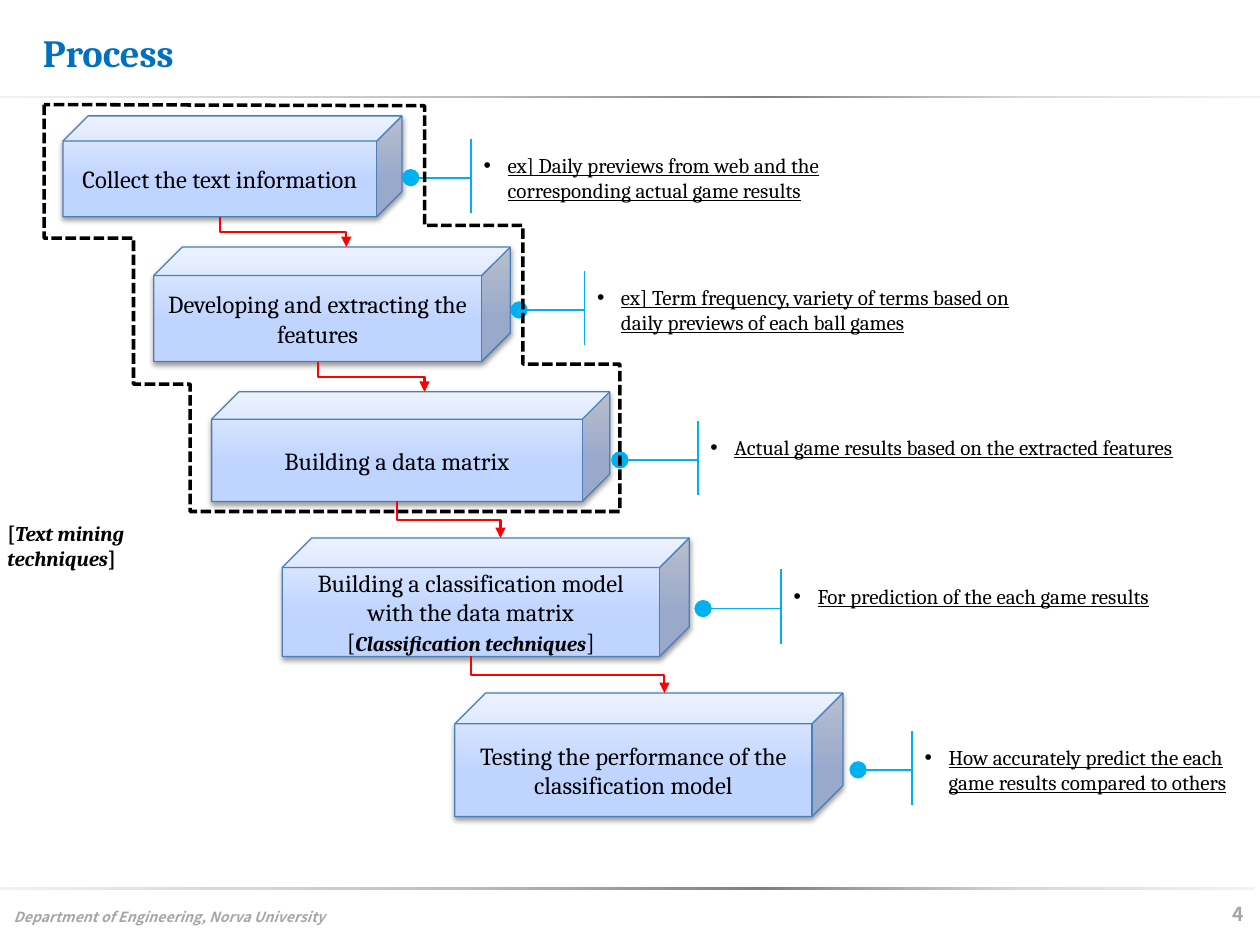
from lxml import etree
from pptx import Presentation, util as u
from pptx.dml.color import RGBColor
from pptx.enum import dml, shapes, text
from pptx.oxml.ns import qn

BLUE = RGBColor(0x00, 0x70, 0xC0)
SKY = RGBColor(0x00, 0xB0, 0xF0)
RED = RGBColor(0xFF, 0x00, 0x00)
BLACK = RGBColor(0, 0, 0)
GRAY = RGBColor(0xA6, 0xA6, 0xA6)
EDGE = RGBColor(0x4B, 0x7E, 0xBC)
BAR = [(0, "F2F2F2"), (18, "D9D9D9"), (36, "BFBFBF"),
       (61, "808080"), (82, "D9D9D9"), (100, "F2F2F2")]
ICE = [(35, "BFD4FF"), (100, "E6EEFF")]
SERIF, SANS = "Cambria", "Noto Sans CJK JP"
LEFT, MID, RIGHT = (text.PP_ALIGN.LEFT, text.PP_ALIGN.CENTER,
                    text.PP_ALIGN.RIGHT)

# Each step: cube box, paragraphs (a run is text, or text with its format)
EMPH = dict(size=12, bold=True, italic=True)
STEPS = [
    ((0.5, 0.92, 2.69, 0.8), ["Collect the text information"]),
    ((1.22, 1.96, 2.83, 0.91), ["Developing and extracting the features"]),
    ((1.68, 3.11, 3.16, 0.87), ["Building a data matrix"]),
    ((2.24, 4.27, 3.23, 0.94),
     ["Building a classification model with the data matrix",
      ["[", ("Classification techniques", EMPH), "]"]]),
    ((3.61, 5.5, 3.08, 0.98),
     ["Testing the performance of the classification model"]),
]
# Each note: dot x, bar x, middle y, text width, text height, words
NOTES = [
    (3.26, 3.74, 1.41, 3.28, 0.51, "ex] Daily previews from web and the "
     "corresponding actual game results"),
    (4.12, 4.64, 2.46, 3.57, 0.71, "ex] Term frequency, variety of terms "
     "based on daily previews of each ball games"),
    (4.92, 5.54, 3.65, 4.21, 0.51,
     "Actual game results based on the extracted features"),
    (5.58, 6.2, 4.83, 4.21, 0.31, "For prediction of the each game results"),
    (6.81, 7.24, 6.11, 2.88, 0.51, "How accurately predict the each game "
     "results compared to others"),
]
# Corners of the dashed outline around the first three steps
STAIR = [(0.35, 0.83), (0.35, 1.89), (1.06, 1.89), (1.06, 3.05),
         (1.51, 3.05), (1.51, 4.06), (4.92, 4.06), (4.92, 2.89),
         (4.15, 2.89), (4.15, 1.79), (3.37, 1.79), (3.37, 0.84)]


def inch(*nums):
    return [u.Inches(n) for n in nums]


def sub(node, tag, **attrs):
    return etree.SubElement(node, qn(tag), attrs)


def write(shape, paras, size=12, font=SERIF, color=BLACK, align=LEFT,
          anchor=text.MSO_ANCHOR.TOP, wrap=True, **style):
    """Fill a shape with paragraphs; extra keywords format the runs."""
    frame = shape.text_frame
    frame.auto_size = text.MSO_AUTO_SIZE.NONE
    frame.word_wrap = wrap
    frame.vertical_anchor = anchor
    for i, runs in enumerate(paras):
        para = frame.add_paragraph() if i else frame.paragraphs[0]
        para.alignment = align
        for item in [runs] if isinstance(runs, str) else runs:
            words, extra = (item, {}) if isinstance(item, str) else item
            run = para.add_run()
            run.text = words
            run.font.name = font
            run.font.color.rgb = color
            for key, val in {"size": size, **style, **extra}.items():
                setattr(run.font, key, u.Pt(val) if key == "size" else val)


def label(slide, box, paras, **style):
    shape = slide.shapes.add_textbox(*inch(*box))
    write(shape, paras, **style)
    return shape


def shade(shape, stops, angle):
    """Give a shape a linear gradient with any number of stops."""
    shape.fill.gradient()
    shape.fill.gradient_angle = angle
    group = shape.element.spPr.find(".//" + qn("a:gsLst"))
    for stop in list(group):
        group.remove(stop)
    for pos, color in stops:
        stop = sub(group, "a:gs", pos=str(pos * 1000))
        sub(stop, "a:srgbClr", val=color)


def rule(slide, left, top):
    shape = slide.shapes.add_shape(shapes.MSO_SHAPE.RECTANGLE,
                                   *inch(left, top, 10, 0.02))
    shape.shadow.inherit = False
    shade(shape, BAR, 0)
    shape.line.fill.background()


def cube(slide, box, paras):
    shape = slide.shapes.add_shape(shapes.MSO_SHAPE.CUBE, *inch(*box))
    shade(shape, ICE, 90)
    shape.line.color.rgb = EDGE
    shape.line.width = u.Pt(0.75)
    shape.shadow.inherit = False
    glow = sub(shape.element.spPr.find(qn("a:effectLst")), "a:outerShdw",
               blurRad=str(u.Pt(3.1)), dist=str(u.Pt(1.6)),
               dir="5400000", rotWithShape="0")
    sub(sub(glow, "a:srgbClr", val="000000"), "a:alpha", val="38000")
    write(shape, paras, size=14, align=MID, anchor=text.MSO_ANCHOR.MIDDLE)


def link(slide, kind, ends, color, width, tip=None):
    """Draw a connector; tip is (tag, type, size) of its one marker."""
    line = slide.shapes.add_connector(kind, *inch(*ends))
    line.line.color.rgb = color
    line.line.width = u.Pt(width)
    if tip:
        tag, form, size = tip
        sub(line.line._get_or_add_ln(), tag, type=form, w=size, len=size)
    sub(line.element.spPr, "a:effectLst")
    return line


def step_down(slide, one, two):
    """Bent arrow from a cube's front bottom to the next cube's top."""
    x1, y1 = one[0] + (one[2] - one[3] / 4) / 2, one[1] + one[3]
    x2, y2 = two[0] + (two[2] + two[3] / 4) / 2, two[1]
    wide, high = x2 - x1, y2 - y1
    left, top = (x1 + x2 - high) / 2, (y1 + y2 - wide) / 2
    # The elbow is laid on its side, then turned to leave downwards
    line = link(slide, shapes.MSO_CONNECTOR.ELBOW,
                (left + high, top, left, top + wide), RED, 1.25,
                ("a:tailEnd", "triangle", "med"))
    line.element.spPr.find(qn("a:xfrm")).set("rot", "16200000")


def note(slide, dot, bar, mid, wide, high, words):
    kind = shapes.MSO_CONNECTOR.STRAIGHT
    link(slide, kind, (dot, mid, bar, mid), SKY, 1,
         ("a:headEnd", "oval", "lg"))
    link(slide, kind, (bar, mid - 0.31, bar, mid + 0.28), SKY, 1)
    shape = label(slide, (bar, mid - 0.25, wide, high), [words],
                  underline=True)
    props = shape.text_frame.paragraphs[0]._p.get_or_add_pPr()
    props.set("marL", str(u.Inches(0.19)))
    props.set("indent", str(u.Inches(-0.19)))
    sub(props, "a:buFont", typeface="Arial")
    sub(props, "a:buChar", char="•")


def outline(slide):
    first, *rest = [inch(*point) for point in STAIR]
    pen = slide.shapes.build_freeform(*first)
    pen.add_line_segments(rest, close=True)
    shape = pen.convert_to_shape()
    shape.shadow.inherit = False
    shape.fill.background()
    shape.line.color.rgb = BLACK
    shape.line.width = u.Pt(2)
    shape.line.dash_style = dml.MSO_LINE.SQUARE_DOT


def main():
    deck = Presentation()
    deck.slide_width, deck.slide_height = inch(10, 7.5)
    slide = deck.slides.add_slide(deck.slide_layouts[5])

    # Title, rules and footer
    head = slide.shapes.title
    head.left, head.top, head.width, head.height = inch(0.24, 0.06, 7.75, 0.7)
    write(head, ["Process"], size=22, color=BLUE, bold=True,
          anchor=text.MSO_ANCHOR.MIDDLE)
    rule(slide, 0, 0.76)
    rule(slide, -0.04, 7.04)
    label(slide, (0.01, 7.16, 7.58, 0.24),
          ["Department of Engineering, Norva University"],
          size=8, font=SANS, color=GRAY, bold=True, italic=True)
    label(slide, (-0.01, 7.01, 9.98, 0.49), ["4"], size=11, font=SANS,
          color=GRAY, bold=True, align=RIGHT, wrap=False,
          anchor=text.MSO_ANCHOR.MIDDLE)

    # Staircase of steps
    for box, paras in STEPS:
        cube(slide, box, paras)
    for (one, _), (two, _) in zip(STEPS, STEPS[1:]):
        step_down(slide, one, two)

    # Side notes
    for item in NOTES:
        note(slide, *item)

    # Text mining group
    label(slide, (-0.04, 4.08, 1.98, 0.3),
          [["[", ("Text mining techniques", dict(italic=True)), "]"]],
          bold=True)
    outline(slide)
    deck.save("out.pptx")


if __name__ == "__main__":
    main()
